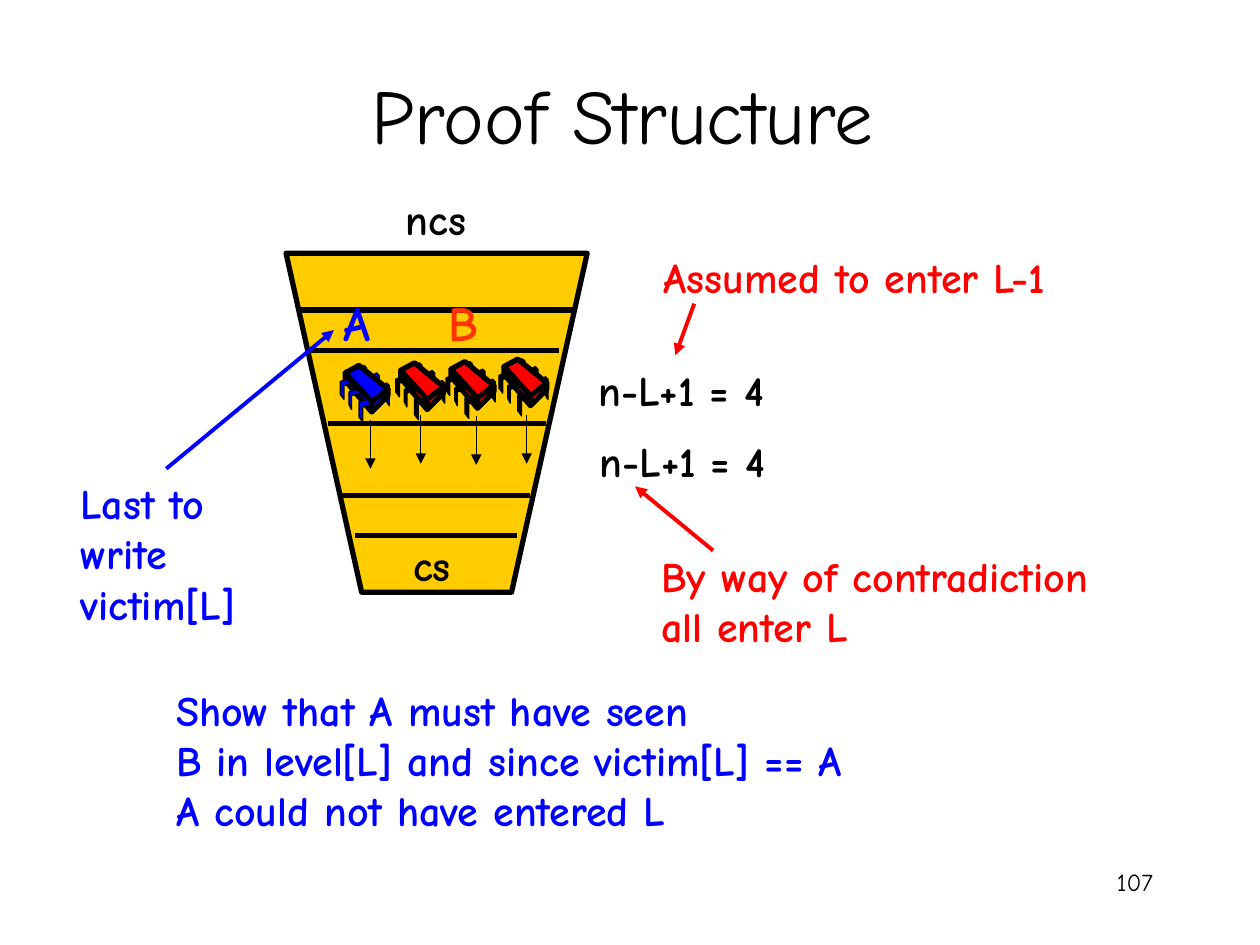
from lxml import etree
from pptx import Presentation
from pptx import util as u
from pptx.dml.color import RGBColor
from pptx.enum import shapes, text
from pptx.oxml.ns import qn

PX = 9144  # EMU in one px, 100 px to the inch
BLACK = RGBColor(0, 0, 0)
RED = RGBColor(255, 0, 0)
BLUE = RGBColor(0, 0, 255)
GOLD = RGBColor(255, 204, 0)
ORANGE = RGBColor(255, 51, 0)

# Chip outlines, measured from the chip's left top corner
BACK_LEG = [(0, 2), (4, 0), (6, 2), (6, 18), (4, 15), (4, 5), (0, 8)]
SHORT_LEG = [(15, 2), (19, 0), (21, 2), (21, 16), (19, 14), (19, 5), (15, 7)]
BODY = [
    [(15, 0), (38, 19), (25, 30), (4, 6)],
    [(4, 6), (25, 29), (25, 37), (4, 12)],
    [(38, 19), (38, 24), (25, 37), (25, 29)],
]
FRONT_LEGS = [
    [(21, 27), (25, 31), (18, 33), (18, 45), (15, 41), (15, 29)],
    [(12, 19), (17, 22), (9, 24), (9, 35), (7, 31), (7, 21)],
    [(5, 11), (9, 15), (3, 16), (3, 27), (0, 23), (0, 13)],
]


class Deck:
    def __init__(self, wide, high, font):
        self.file = Presentation()
        self.file.slide_width = wide * PX
        self.file.slide_height = high * PX
        self.font = font
        self.slide = self.file.slides.add_slide(self.file.slide_layouts[6])

    def text(self, words, x, y, w, h, size=24, color=BLACK, bold=True,
             align=text.PP_ALIGN.LEFT, anchor=text.MSO_ANCHOR.TOP):
        box = self.slide.shapes.add_textbox(x * PX, y * PX, w * PX, h * PX)
        frame = box.text_frame
        frame.word_wrap = True
        frame.vertical_anchor = anchor
        frame.text = words
        for para in frame.paragraphs:
            para.alignment = align
            font = para.font
            font.name, font.size, font.bold = self.font, u.Pt(size), bold
            font.color.rgb = color

    def line(self, x1, y1, x2, y2, color=BLACK, width=3, arrow=False):
        line = self.slide.shapes.add_connector(
            shapes.MSO_CONNECTOR.STRAIGHT, x1 * PX, y1 * PX, x2 * PX, y2 * PX)
        line.line.color.rgb = color
        line.line.width = u.Pt(width)
        props = line._element.spPr
        if arrow:
            etree.SubElement(props.find(qn("a:ln")), qn("a:tailEnd"),
                             type="triangle")
        etree.SubElement(props, qn("a:effectLst"))

    def form(self, points, fill, width=3, x=0, y=0, group=None):
        home = group or self.slide
        pen = home.shapes.build_freeform(*points[0], scale=PX)
        pen.add_line_segments(points[1:], close=True)
        shape = pen.convert_to_shape(x * PX, y * PX)
        shape.shadow.inherit = False
        shape.fill.solid()
        shape.fill.fore_color.rgb = fill
        shape.line.color.rgb = BLACK
        shape.line.width = u.Pt(width)

    def chip(self, x, y, fill, legs):
        group = self.slide.shapes.add_group_shape()
        for dx, dy in [(33, 14), (25, 6)]:
            self.form(BACK_LEG, legs, 0.75, x + dx, y + dy, group)
        self.form(SHORT_LEG, legs, 0.75, x, y, group)
        for face in BODY:
            self.form(face, fill, 3, x, y, group)
        for leg in FRONT_LEGS:
            self.form(leg, legs, 0.75, x, y, group)


def main():
    deck = Deck(1000, 750, "Comic Neue")

    # Title and page number
    deck.text("Proof Structure", 69, 28, 850, 125, size=44, bold=False,
              align=text.PP_ALIGN.CENTER, anchor=text.MSO_ANCHOR.MIDDLE)
    deck.text("107", 717, 683, 208, 50, size=14, bold=False,
              align=text.PP_ALIGN.RIGHT)

    # Funnel with its levels
    deck.text("ncs", 312, 149, 71, 50)
    deck.form([(227, 201), (287, 470), (406, 470), (466, 201)], GOLD)
    for left, right, y in [(239, 455, 246), (244, 444, 278), (260, 433, 336),
                           (271, 421, 393), (282, 410, 425)]:
        deck.line(left, y, right, y)
    deck.text("cs", 318, 423, 53, 50)

    # Chips, each with an arrow to the next level
    for x, y, fill, legs, ax, ay in [(354, 287, RED, BLACK, 378, 330),
                                     (314, 288, RED, BLACK, 334, 329),
                                     (396, 285, RED, BLACK, 418, 329),
                                     (270, 290, BLUE, BLUE, 294, 333)]:
        deck.chip(x, y, fill, legs)
        deck.line(ax, ay, ax, ay + 39, width=0.75, arrow=True)
    deck.text("A", 263, 227, 49, 57, size=28, color=BLUE)
    deck.text("B", 346, 227, 45, 57, size=28, color=ORANGE)

    # Counts and the claims about them
    deck.text("n-L+1 = 4", 465, 284, 186, 50)
    deck.text("n-L+1 = 4", 466, 341, 186, 50)
    deck.text("Assumed to enter L-1", 517, 195, 380, 50, color=RED)
    deck.line(551, 241, 536, 282, RED, 2.25, arrow=True)
    deck.text("By way of contradiction\nall enter L", 515, 432, 406, 90,
              color=RED)
    deck.line(566, 437, 504, 386, RED, 2.25, arrow=True)

    # Last writer and conclusion
    deck.text("Last to\nwrite\nvictim[L]", 54, 374, 157, 130, color=BLUE)
    deck.line(132, 372, 265, 262, BLUE, 2.25, arrow=True)
    deck.text("Show that A must have seen\n"
              "B in level[L] and since victim[L] == A\n"
              "A could not have entered L", 130, 538, 626, 131, color=BLUE)

    deck.file.save("out.pptx")


if __name__ == "__main__":
    main()
